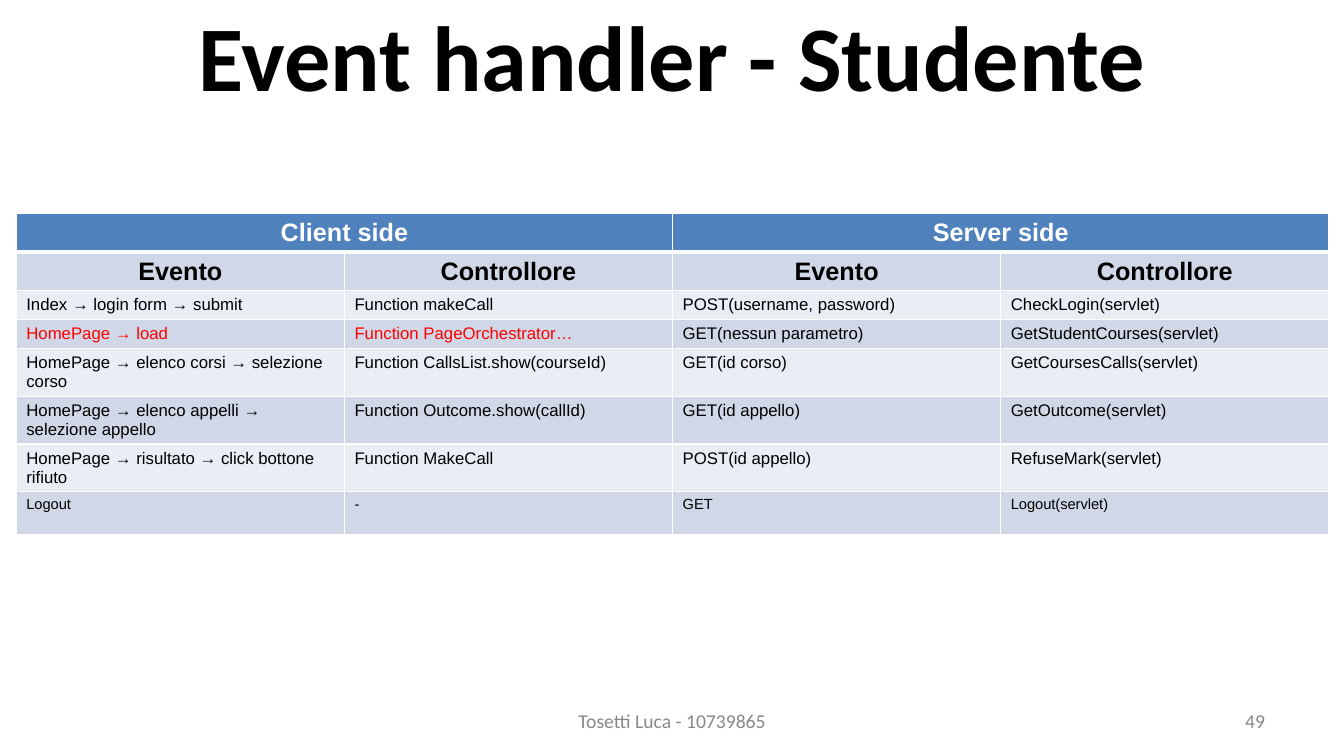
from dataclasses import dataclass

from lxml import etree
from pptx import Presentation
from pptx import util as u
from pptx.dml.color import RGBColor
from pptx.enum import text
from pptx.oxml import ns

BLACK = RGBColor(0x00, 0x00, 0x00)
WHITE = RGBColor(0xFF, 0xFF, 0xFF)
RED = RGBColor(0xFF, 0x00, 0x00)
GREY = RGBColor(0x88, 0x88, 0x88)
HEADER_BLUE = RGBColor(0x4F, 0x81, 0xBD)
DARK_BAND = RGBColor(0xD0, 0xD8, 0xE8)
LIGHT_BAND = RGBColor(0xE9, 0xED, 0xF4)

COLUMN_WIDTH = u.Cm(8.27)
BORDER_SIDES = ("lnL", "lnR", "lnT", "lnB")


@dataclass(frozen=True)
class Style:
    size: float
    font: str
    color: RGBColor = BLACK
    bold: bool = False
    align: text.PP_ALIGN = text.PP_ALIGN.LEFT


@dataclass(frozen=True)
class Row:
    cells: tuple[str, ...]
    height: float = 1.07
    size: float = 12
    red_cells: int = 0


@dataclass(frozen=True)
class Footer:
    content: str
    left: float
    width: float
    align: text.PP_ALIGN


TITLE_STYLE = Style(66, "Calibri", bold=True, align=text.PP_ALIGN.CENTER)
GROUP_STYLE = Style(18, "Arial", WHITE, True, text.PP_ALIGN.CENTER)
HEADING_STYLE = Style(18, "Arial", BLACK, True, text.PP_ALIGN.CENTER)

GROUPS = ("Client side", "Server side")
HEADINGS = ("Evento", "Controllore") * len(GROUPS)
HEADING_HEIGHT = 0.86
ROWS = (
    Row(("Index → login form → submit", "Function makeCall",
         "POST(username, password)", "CheckLogin(servlet)"), height=0.64),
    Row(("HomePage → load", "Function PageOrchestrator…",
         "GET(nessun parametro)", "GetStudentCourses(servlet)"), height=0.64, red_cells=2),
    Row(("HomePage → elenco corsi → selezione corso", "Function CallsList.show(courseId)",
         "GET(id corso)", "GetCoursesCalls(servlet)")),
    Row(("HomePage → elenco appelli → selezione appello", "Function Outcome.show(callId)",
         "GET(id appello)", "GetOutcome(servlet)")),
    Row(("HomePage → risultato → click bottone rifiuto", "Function MakeCall",
         "POST(id appello)", "RefuseMark(servlet)")),
    Row(("Logout", "-", "GET", "Logout(servlet)"), size=10.5),
)
FOOTERS = (
    Footer("Tosetti Luca - 10739865", 11.58, 10.72, text.PP_ALIGN.CENTER),
    Footer("49", 24.28, 7.9, text.PP_ALIGN.RIGHT),
)


def write(frame, content: str, style: Style) -> None:
    frame.text = content
    paragraph = frame.paragraphs[0]
    paragraph.alignment = style.align
    paragraph.font.size = u.Pt(style.size)
    paragraph.font.name = style.font
    paragraph.font.bold = style.bold
    paragraph.font.color.rgb = style.color


def format_box(frame) -> None:
    frame.word_wrap = True
    frame.auto_size = text.MSO_AUTO_SIZE.NONE
    frame.vertical_anchor = text.MSO_ANCHOR.MIDDLE
    frame.margin_left = frame.margin_right = u.Cm(0.3)
    frame.margin_top = frame.margin_bottom = u.Cm(0.15)


def format_cell(cell, fill: RGBColor, bottom_border: float = 1) -> None:
    properties = cell._tc.get_or_add_tcPr()
    for side in BORDER_SIDES:
        width = u.Pt(bottom_border if side == "lnB" else 1)
        line = etree.SubElement(properties, ns.qn(f"a:{side}"), w=str(width))
        solid = etree.SubElement(line, ns.qn("a:solidFill"))
        etree.SubElement(solid, ns.qn("a:srgbClr"), val=str(WHITE))
    cell.fill.solid()
    cell.fill.fore_color.rgb = fill


def add_title(slide) -> None:
    title = slide.shapes.title
    title.left, title.top = u.Cm(1.17), u.Cm(0)
    title.width, title.height = u.Cm(31.55), u.Cm(2.74)
    format_box(title.text_frame)
    write(title.text_frame, "Event handler - Studente", TITLE_STYLE)


def add_event_table(slide) -> None:
    heights = [HEADING_HEIGHT] * 2 + [row.height for row in ROWS]
    columns = len(HEADINGS)
    table = slide.shapes.add_table(
        len(heights), columns, u.Cm(0.41), u.Cm(5.39),
        COLUMN_WIDTH * columns, u.Cm(sum(heights))).table
    for column in table.columns:
        column.width = COLUMN_WIDTH
    for table_row, height in zip(table.rows, heights):
        table_row.height = u.Cm(height)

    for index, heading in enumerate(HEADINGS):
        format_cell(table.cell(0, index), HEADER_BLUE, bottom_border=3)
        format_cell(table.cell(1, index), DARK_BAND)
        write(table.cell(1, index).text_frame, heading, HEADING_STYLE)
    for index, group in enumerate(GROUPS):
        first = table.cell(0, 2 * index)
        first.merge(table.cell(0, 2 * index + 1))
        write(first.text_frame, group, GROUP_STYLE)

    for row_index, row in enumerate(ROWS, start=2):
        band = DARK_BAND if row_index % 2 else LIGHT_BAND
        for column_index, content in enumerate(row.cells):
            cell = table.cell(row_index, column_index)
            format_cell(cell, band)
            color = RED if column_index < row.red_cells else BLACK
            write(cell.text_frame, content, Style(row.size, "Arial", color))


def add_footer(slide, footer: Footer) -> None:
    box = slide.shapes.add_textbox(
        u.Cm(footer.left), u.Cm(17.65), u.Cm(footer.width), u.Cm(1.02))
    format_box(box.text_frame)
    write(box.text_frame, footer.content, Style(14, "Calibri", GREY, align=footer.align))


def main() -> None:
    presentation = Presentation()
    presentation.slide_width, presentation.slide_height = u.Cm(33.87), u.Cm(19.05)
    slide = presentation.slides.add_slide(presentation.slide_layouts.get_by_name("Title Only"))
    add_title(slide)
    add_event_table(slide)
    for footer in FOOTERS:
        add_footer(slide, footer)
    presentation.save("out.pptx")


if __name__ == "__main__":
    main()
